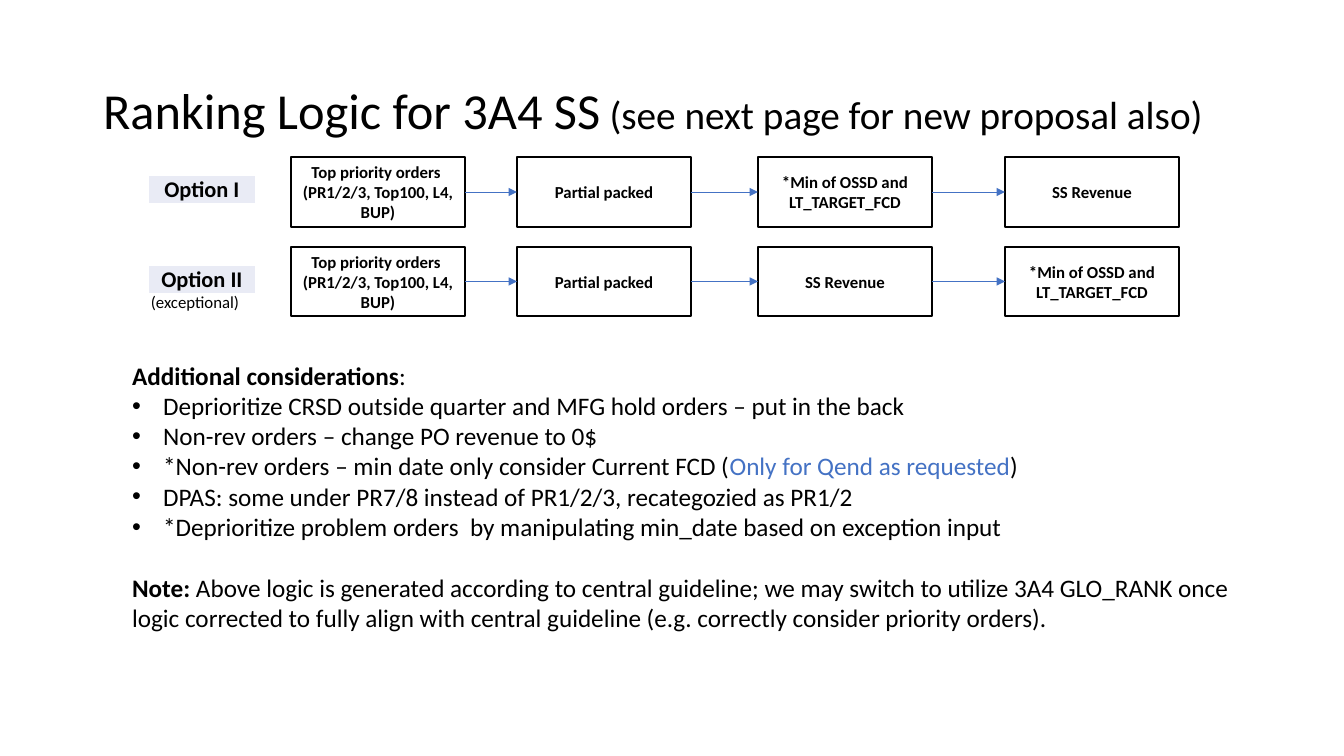
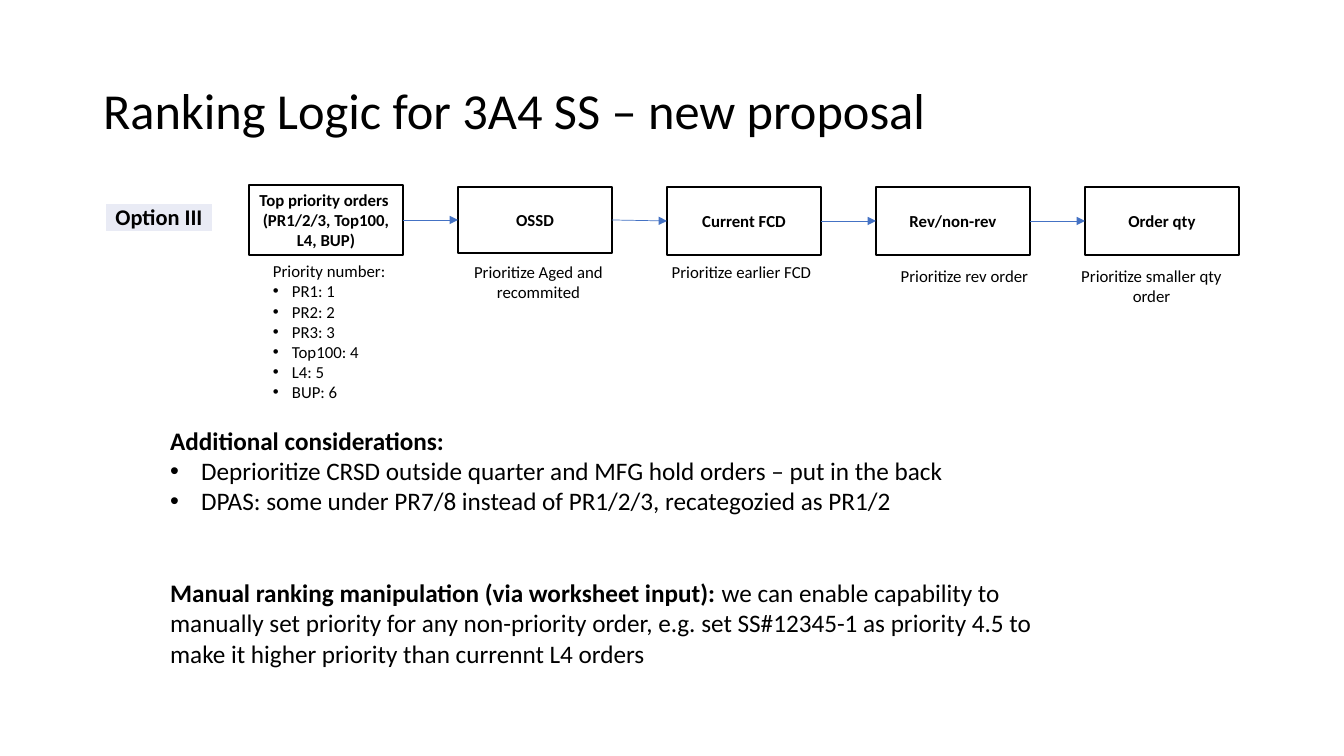
from dataclasses import dataclass

from lxml import etree
from pptx import Presentation
from pptx import util as u
from pptx.dml.color import RGBColor
from pptx.enum import shapes, text
from pptx.oxml import ns

# Shared look
EMU_PER_PIXEL = 914400 / 100.8
COLORS = {"ink": "000000", "accent": "4472C4", "label": "E9EBF5", "paper": "FFFFFF"}
FONT = "Calibri"
SIZES = {"title": 36, "subtitle": 28, "body": 18, "label": 16, "small": 12}
LEFT, CENTER = text.PP_ALIGN.LEFT, text.PP_ALIGN.CENTER
BODY_INDENT, SMALL_INDENT = 31, 19
LAYOUT_TITLE_AND_BODY = 1


@dataclass(frozen=True)
class Run:
    words: str
    bold: bool = False
    color: str = "ink"
    size: str = ""


@dataclass(frozen=True)
class Paragraph:
    runs: tuple[Run, ...]
    indent: int = 0
    space_before: int = 0


@dataclass(frozen=True)
class Area:
    left: int
    top: int
    width: int
    height: int

    def emu(self) -> tuple[u.Emu, ...]:
        return tuple(map(pixels, (self.left, self.top, self.width, self.height)))


@dataclass(frozen=True)
class Step:
    lines: tuple[str, ...]
    area: Area


@dataclass(frozen=True)
class Flow:
    option: str
    label: Area
    steps: list[Step]


@dataclass(frozen=True)
class Caption:
    area: Area
    paragraphs: list[Paragraph]
    alignment: text.PP_ALIGN = CENTER


@dataclass(frozen=True)
class Page:
    title: Paragraph
    flows: list[Flow]
    captions: list[Caption]
    body_area: Area
    body: list[Paragraph]


TITLE_AREA = Area(93, 40, 1159, 146)


# Helpers
def pixels(count: float) -> u.Emu:
    return u.Emu(round(count * EMU_PER_PIXEL))


def rgb(name: str) -> RGBColor:
    return RGBColor.from_string(COLORS[name])


def apply(target, values: dict) -> None:
    for name, value in values.items():
        setattr(target, name, value)


def plain(words: str, **layout) -> Paragraph:
    return Paragraph((Run(words),), **layout)


def strong(words: str) -> Paragraph:
    return Paragraph((Run(words, bold=True),))


def bullets(lines: list[str], indent: int) -> list[Paragraph]:
    return [plain(words, indent=indent) for words in lines]


def place(shape, area: Area) -> None:
    apply(shape, dict(zip(("left", "top", "width", "height"), area.emu())))


def set_bullet(paragraph, indent: int) -> None:
    properties = paragraph._p.get_or_add_pPr()
    properties.set("marL", str(pixels(indent)))
    properties.set("indent", str(-pixels(indent)))
    if indent:
        font = etree.SubElement(properties, ns.qn("a:buFont"))
        font.set("typeface", "Arial")
        etree.SubElement(properties, ns.qn("a:buChar")).set("char", "•")
    else:
        etree.SubElement(properties, ns.qn("a:buNone"))


def write(frame, paragraphs: list[Paragraph], size: str,
          alignment: text.PP_ALIGN = LEFT, line_spacing: float = 1.0) -> None:
    for index, content in enumerate(paragraphs):
        paragraph = frame.add_paragraph() if index else frame.paragraphs[0]
        apply(paragraph, {
            "alignment": alignment,
            "line_spacing": line_spacing,
            "space_before": u.Pt(content.space_before),
            "space_after": u.Pt(0),
        })
        set_bullet(paragraph, content.indent)
        for part in content.runs:
            run = paragraph.add_run()
            run.text = part.words
            apply(run.font, {
                "name": FONT,
                "size": u.Pt(SIZES[part.size or size]),
                "bold": part.bold,
            })
            run.font.color.rgb = rgb(part.color)


def set_frame(frame, anchor: text.MSO_ANCHOR) -> None:
    apply(frame, {
        "word_wrap": True,
        "auto_size": text.MSO_AUTO_SIZE.NONE,
        "vertical_anchor": anchor,
    })


# Drawing
def draw_step(slide, step: Step):
    box = slide.shapes.add_shape(
        shapes.MSO_SHAPE.FLOWCHART_PROCESS, *step.area.emu())
    box.shadow.inherit = False
    box.fill.background()
    box.line.color.rgb = rgb("ink")
    box.line.width = u.Pt(1)
    set_frame(box.text_frame, text.MSO_ANCHOR.MIDDLE)
    write(box.text_frame, [strong(words) for words in step.lines], "small", CENTER)
    return box


def draw_arrow(slide, source, target) -> None:
    arrow = slide.shapes.add_connector(shapes.MSO_CONNECTOR.STRAIGHT, 0, 0, 0, 0)
    arrow.begin_connect(source, 3)
    arrow.end_connect(target, 1)
    arrow.line.color.rgb = rgb("accent")
    arrow.line.width = u.Pt(0.5)
    tail = etree.SubElement(arrow.line._get_or_add_ln(), ns.qn("a:tailEnd"))
    tail.set("type", "triangle")
    etree.SubElement(arrow._element.spPr, ns.qn("a:effectLst"))


def draw_label(slide, flow: Flow) -> None:
    table = slide.shapes.add_table(1, 1, *flow.label.emu()).table
    apply(table, {"first_row": False, "horz_banding": False})
    cell = table.cell(0, 0)
    apply(cell, {
        "margin_left": pixels(1),
        "margin_top": pixels(1),
        "margin_right": pixels(1),
        "margin_bottom": 0,
    })
    properties = cell._tc.get_or_add_tcPr()
    for side in ("lnL", "lnR", "lnT", "lnB"):
        border = etree.SubElement(properties, ns.qn(f"a:{side}"))
        border.set("w", str(u.Pt(1)))
        fill = etree.SubElement(border, ns.qn("a:solidFill"))
        etree.SubElement(fill, ns.qn("a:srgbClr")).set("val", COLORS["paper"])
    cell.fill.solid()
    cell.fill.fore_color.rgb = rgb("label")
    write(cell.text_frame, [strong(flow.option)], "label", CENTER)


def draw_flow(slide, flow: Flow) -> None:
    draw_label(slide, flow)
    boxes = [draw_step(slide, step) for step in flow.steps]
    for source, target in zip(boxes, boxes[1:]):
        draw_arrow(slide, source, target)


def draw_caption(slide, caption: Caption) -> None:
    box = slide.shapes.add_textbox(*caption.area.emu())
    set_frame(box.text_frame, text.MSO_ANCHOR.TOP)
    write(box.text_frame, caption.paragraphs, "small", caption.alignment)


def draw_page(presentation, page: Page) -> None:
    slide = presentation.slides.add_slide(
        presentation.slide_layouts[LAYOUT_TITLE_AND_BODY])
    title, body = slide.shapes.title, slide.placeholders[1]
    place(title, TITLE_AREA)
    set_frame(title.text_frame, text.MSO_ANCHOR.MIDDLE)
    write(title.text_frame, [page.title], "title", line_spacing=0.9)
    place(body, page.body_area)
    set_frame(body.text_frame, text.MSO_ANCHOR.TOP)
    write(body.text_frame, page.body, "body")
    for flow in page.flows:
        draw_flow(slide, flow)
    for caption in page.captions:
        draw_caption(slide, caption)


# Content shared by both slides
TOP_PRIORITY = ("Top priority orders ", "(PR1/2/3, Top100, L4, BUP)")
PARTIAL = ("Partial packed",)
MIN_DATE = ("*Min of OSSD and LT_TARGET_FCD",)
REVENUE = ("SS Revenue",)
HOLD_ORDERS = "Deprioritize CRSD outside quarter and MFG hold orders – put in the back"
DPAS = "DPAS: some under PR7/8 instead of PR1/2/3, recategozied as PR1/2"


def option_flow(option: str, top: int, height: int, steps: list) -> Flow:
    lefts = (291, 517, 758, 1005)
    return Flow(option, Area(148, top + 18, 108, 28),
                [Step(lines, Area(left, top, 174, height))
                 for lines, left in zip(steps, lefts)])


# Slide 1: current options
current_logic = Page(
    title=Paragraph((
        Run("Ranking Logic for 3A4 SS"),
        Run(" (see next page for new proposal also)", size="subtitle"),
    )),
    flows=[
        option_flow("Option I", 157, 70, [TOP_PRIORITY, PARTIAL, MIN_DATE, REVENUE]),
        option_flow("Option II", 247, 69, [TOP_PRIORITY, PARTIAL, REVENUE, MIN_DATE]),
    ],
    captions=[Caption(Area(141, 287, 117, 30), [plain("(exceptional)")], LEFT)],
    body_area=Area(122, 355, 1169, 316),
    body=[
        Paragraph((Run("Additional considerations", bold=True), Run(": "))),
        *bullets([HOLD_ORDERS, "Non-rev orders – change PO revenue to 0$"], BODY_INDENT),
        Paragraph((
            Run("*Non-rev orders – min date only consider Current FCD ("),
            Run("Only for Qend as requested", color="accent"),
            Run(") "),
        ), BODY_INDENT),
        *bullets([DPAS, "*Deprioritize problem orders  by manipulating min_date "
                  "based on exception input"], BODY_INDENT),
        Paragraph((
            Run("Note:", bold=True),
            Run(" Above logic is generated according to central guideline; we may "
                "switch to utilize 3A4 GLO_RANK once logic corrected to fully align "
                "with central guideline (e.g. correctly consider priority orders)."),
        ), space_before=22),
    ],
)

# Slide 2: new proposal
PROPOSAL_STEPS = [
    (TOP_PRIORITY, 185, 70), (("OSSD",), 187, 66), (("Current FCD",), 187, 68),
    (("Rev/non-rev",), 187, 68), (("Order qty",), 187, 68),
]
PRIORITIES = ["PR1: 1", "PR2: 2", "PR3: 3", "Top100: 4", "L4: 5", "BUP: 6"]
HINTS = [
    ("Prioritize Aged and recommited", 453, 257, 50),
    ("Prioritize earlier FCD", 656, 257, 30),
    ("Prioritize rev order", 879, 261, 30),
    ("Prioritize smaller qty order", 1066, 261, 50),
]
new_proposal = Page(
    title=plain("Ranking Logic for 3A4 SS – new proposal"),
    flows=[Flow("Option III", Area(105, 203, 108, 28), [
        Step(lines, Area(249 + 209 * index, top, 154, height))
        for index, (lines, top, height) in enumerate(PROPOSAL_STEPS)
    ])],
    captions=[
        Caption(Area(263, 256, 154, 152),
                [plain("Priority number:"), *bullets(PRIORITIES, SMALL_INDENT)], LEFT),
        *(Caption(Area(left, top, 171, height), [plain(words)])
          for words, left, top, height in HINTS),
    ],
    body_area=Area(160, 420, 900, 254),
    body=[
        strong("Additional considerations:"),
        *bullets([HOLD_ORDERS, DPAS], BODY_INDENT),
        Paragraph((
            Run("Manual ranking manipulation (via worksheet input): ", bold=True),
            Run("we can enable capability to manually set priority for any "
                "non-priority order, e.g. set SS#12345-1 as priority 4.5 to make it "
                "higher priority than currennt L4 orders"),
        ), space_before=44),
    ],
)

# Build
presentation = Presentation()
apply(presentation, {"slide_width": pixels(1344), "slide_height": pixels(756)})
for page in (current_logic, new_proposal):
    draw_page(presentation, page)
presentation.save("out.pptx")
